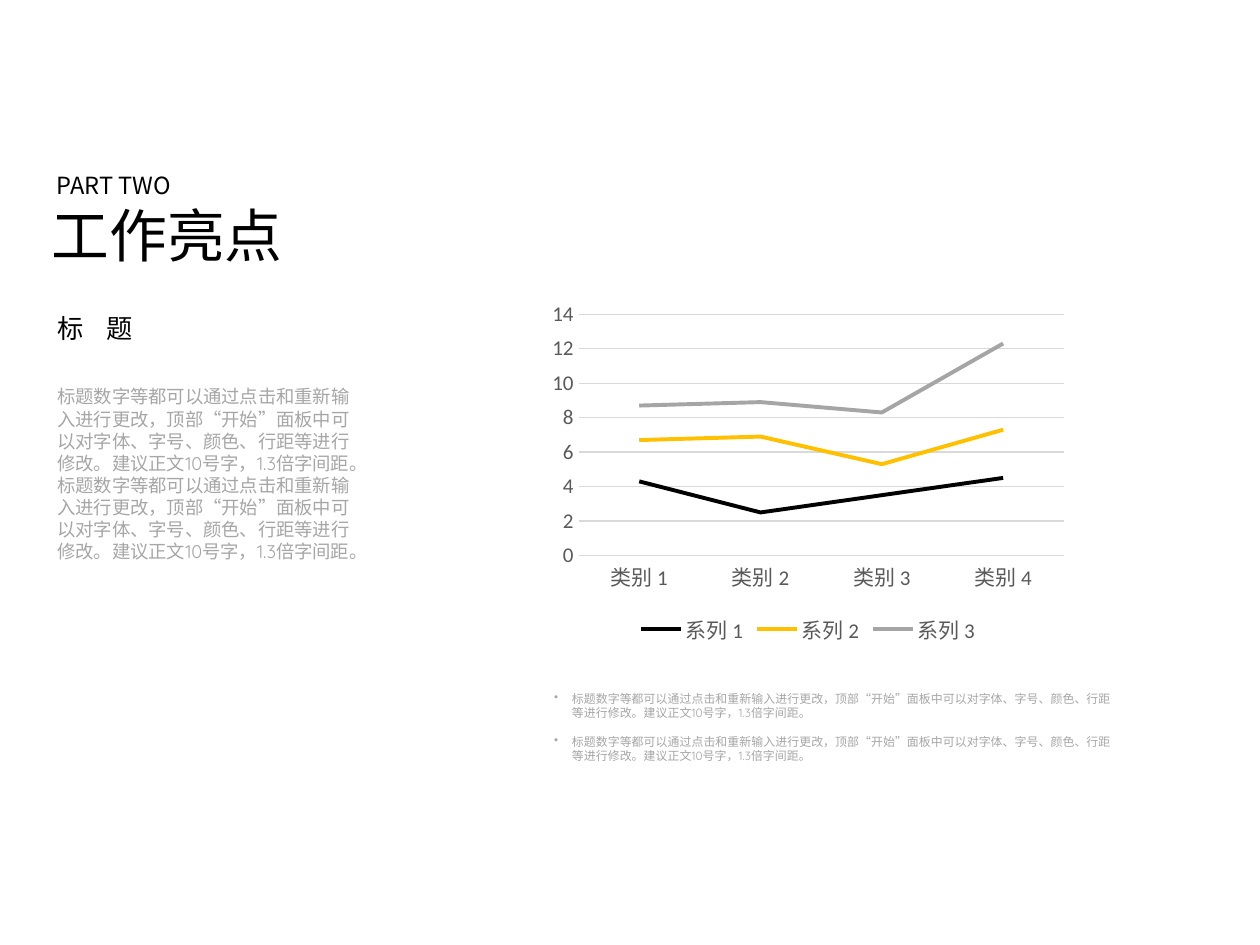
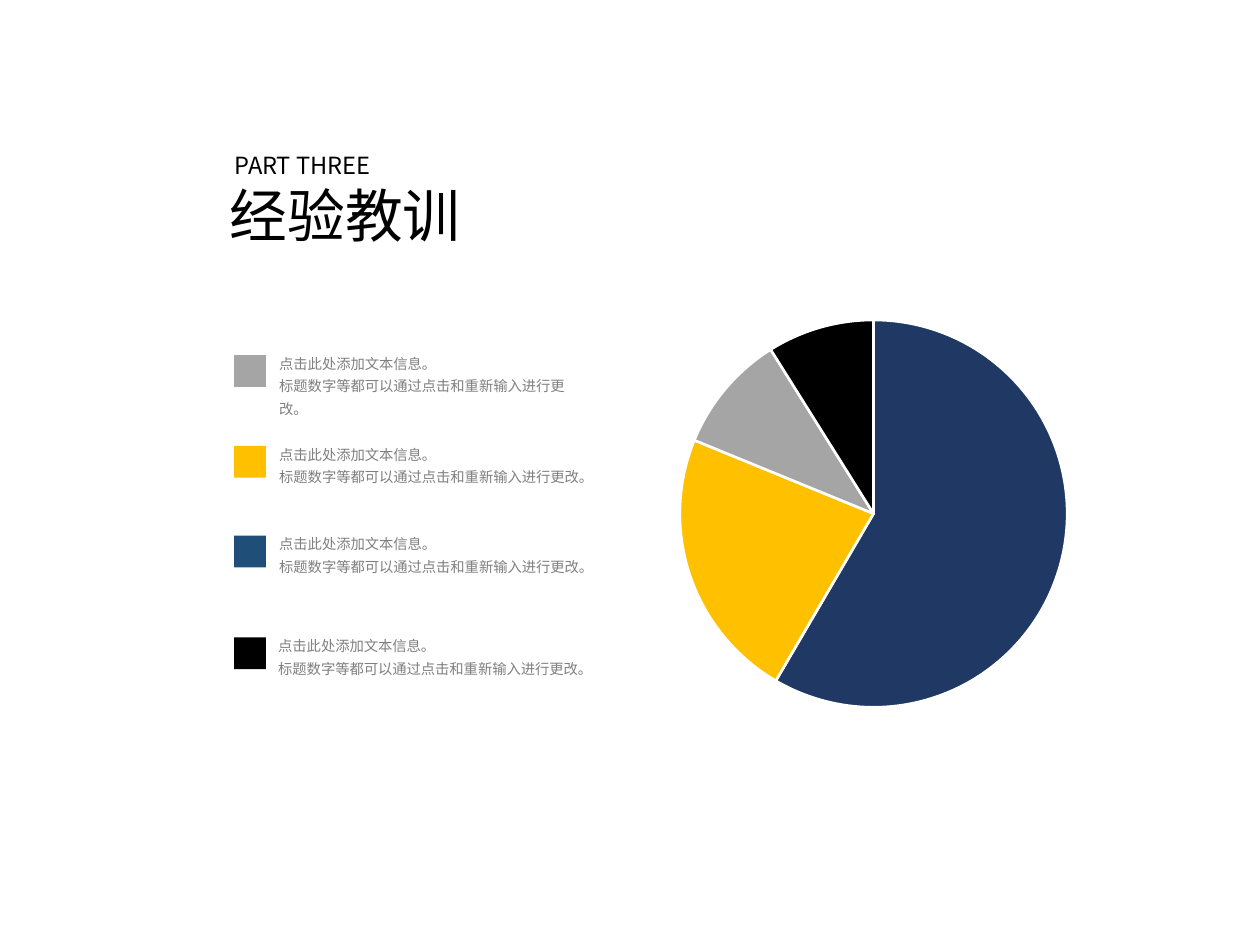
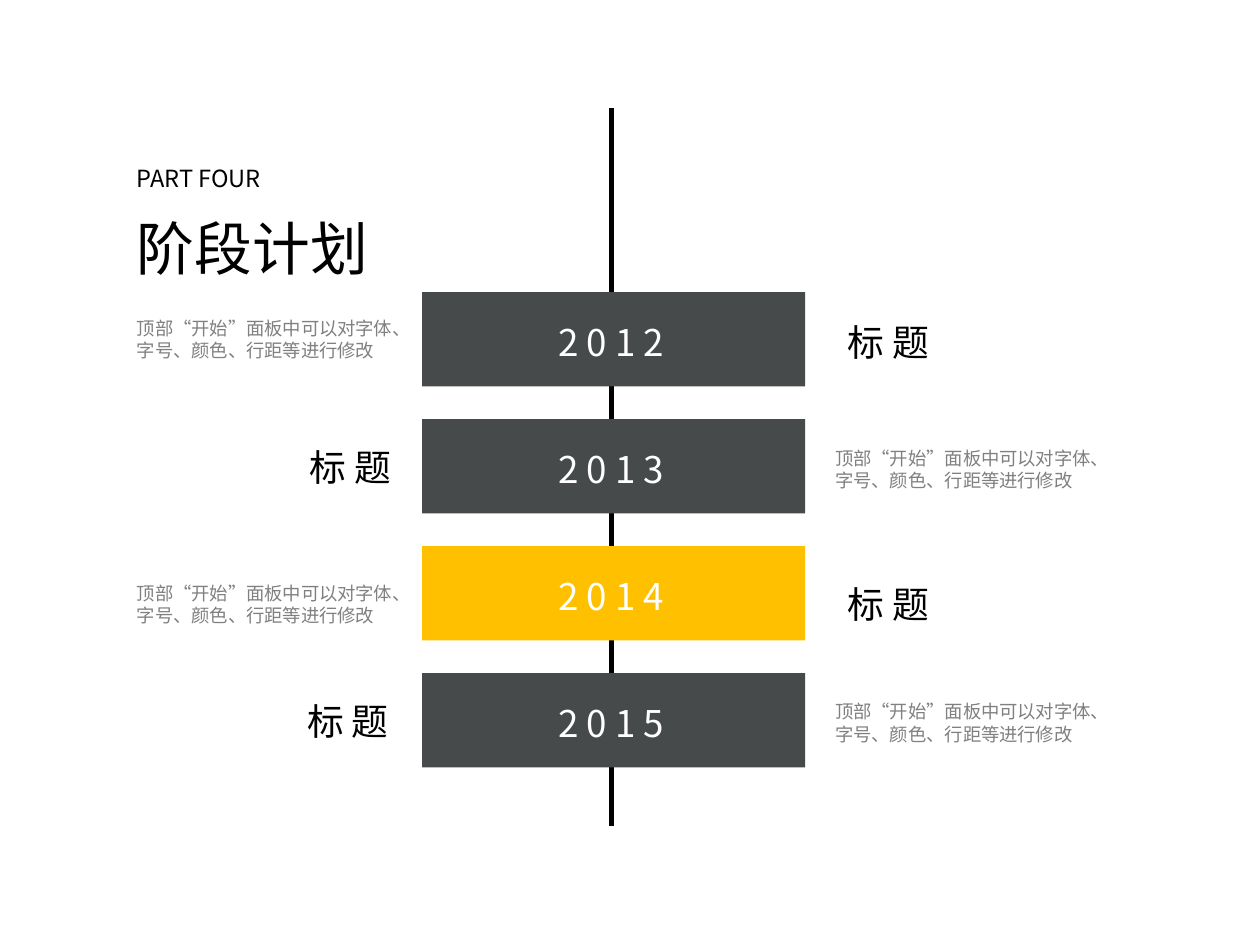
import lxml.etree
import pptx
import pptx.chart.data
import pptx.dml.color
import pptx.enum.chart
import pptx.enum.shapes
import pptx.enum.text
import pptx.oxml.ns
import pptx.util

Cm = pptx.util.Cm
Pt = pptx.util.Pt
qn = pptx.oxml.ns.qn
Kind = pptx.enum.chart.XL_CHART_TYPE

INK = {
    "black": "000000", "white": "FFFFFF", "gold": "FFC000",
    "silver": "A5A5A5", "pale": "A6A6A6", "gray": "808080",
    "slate": "464A4A", "navy": "203864", "blue": "1F4E79",
    "label": "595959", "grid": "D9D9D9",
}
SANS = "Noto Sans CJK SC"
LOOK = {
    "part": {"size": 13.5, "name": SANS, "color": "black"},
    "title": {"size": 33, "name": SANS, "color": "black"},
    "head": {"size": 15, "name": SANS, "color": "black"},
    "body": {"size": 10.5, "name": "Quicksand", "color": "pale"},
    "point": {"size": 6.8, "name": "Quicksand", "color": "pale"},
    "key": {"size": 8.2, "name": SANS, "color": "gray"},
    "year": {"size": 21, "name": SANS, "color": "white"},
    "topic": {"size": 21, "name": "Calibri", "color": "black"},
    "note": {"size": 10.5, "name": SANS, "color": "gray"},
    "chart": {"size": 10, "name": "Calibri", "color": "black"},
    "axis": {"size": 12, "name": "Calibri", "color": "label"},
}


class Deck:
    def __init__(self):
        self.show = pptx.Presentation()
        self.show.slide_width = Cm(25.4)
        self.show.slide_height = Cm(19.05)

    def page(self):
        self.slide = self.show.slides.add_slide(self.show.slide_layouts[6])
        fill = self.slide.background.fill
        fill.solid()
        fill.fore_color.rgb = self.ink("white")

    def ink(self, name):
        return pptx.dml.color.RGBColor.from_string(INK[name])

    def font(self, font, look):
        form = dict(LOOK[look])
        font.color.rgb = self.ink(form.pop("color"))
        form["size"] = Pt(form["size"])
        for name, value in form.items():
            setattr(font, name, value)

    def text(self, box, lines, look, **form):
        shape = self.slide.shapes.add_textbox(*map(Cm, box))
        frame = shape.text_frame
        frame.word_wrap = True
        frame.auto_size = pptx.enum.text.MSO_AUTO_SIZE.SHAPE_TO_FIT_TEXT
        for i, line in enumerate(lines):
            para = frame.paragraphs[0] if i == 0 else frame.add_paragraph()
            run = para.add_run()
            run.text = line
            self.font(run.font, look)
            east = lxml.etree.SubElement(run.font._element, qn("a:ea"))
            east.set("typeface", SANS)
            for name, value in form.items():
                setattr(para, name, value)
        return frame.paragraphs

    def title(self, box, part, name, indents=(0, 0), **form):
        paras = self.text(box, [part, name], "part", **form)
        self.font(paras[1].runs[0].font, "title")
        for para, indent in zip(paras, indents):
            para._p.get_or_add_pPr().set("marL", str(Cm(indent)))

    def points(self, box, lines):
        paras = self.text(box, lines, "point")
        for para in paras:
            props = para._p.get_or_add_pPr()
            props.set("marL", str(Cm(0.36)))
            props.set("indent", str(Cm(-0.36)))
            lxml.etree.SubElement(props, qn("a:buChar")).set("char", "•")
        for para in paras[1:]:
            para.space_before = Pt(8)

    def rect(self, box, color):
        kind = pptx.enum.shapes.MSO_SHAPE.RECTANGLE
        shape = self.slide.shapes.add_shape(kind, *map(Cm, box))
        shape.shadow.inherit = False
        shape.fill.solid()
        shape.fill.fore_color.rgb = self.ink(color)
        shape.line.fill.background()

    def stroke(self, line, color, width):
        line.color.rgb = self.ink(color)
        line.width = Pt(width)

    def rule(self, ends, color, width):
        kind = pptx.enum.shapes.MSO_CONNECTOR.STRAIGHT
        line = self.slide.shapes.add_connector(kind, *map(Cm, ends))
        self.stroke(line.line, color, width)
        lxml.etree.SubElement(line._element.spPr, qn("a:effectLst"))

    def chart(self, kind, box, cats, rows):
        data = pptx.chart.data.CategoryChartData()
        data.categories = cats
        for name, values in rows:
            data.add_series(name, values)
        chart = self.slide.shapes.add_chart(kind, *map(Cm, box), data).chart
        chart.has_title = False
        chart.has_legend = False
        self.font(chart.font, "chart")
        return chart

    def lines(self, box, cats, rows, colors):
        chart = self.chart(Kind.LINE_STACKED, box, cats, rows)
        chart.plots[0].vary_by_categories = False
        for row, color in zip(chart.plots[0].series, colors):
            row.smooth = False
            self.stroke(row.format.line, color, 2.25)
        for axis in (chart.category_axis, chart.value_axis):
            axis.major_tick_mark = pptx.enum.chart.XL_TICK_MARK.NONE
            axis.minor_tick_mark = pptx.enum.chart.XL_TICK_MARK.NONE
            self.font(axis.tick_labels.font, "axis")
        self.stroke(chart.category_axis.format.line, "grid", 0.75)
        self.stroke(chart.value_axis.major_gridlines.format.line, "grid", 0.75)
        chart.value_axis.format.line.fill.background()
        chart.has_legend = True
        chart.legend.position = pptx.enum.chart.XL_LEGEND_POSITION.BOTTOM
        chart.legend.include_in_layout = False
        self.font(chart.legend.font, "axis")

    def pie(self, box, cats, rows, colors):
        chart = self.chart(Kind.PIE, box, cats, rows)
        chart.plots[0].vary_by_categories = True
        for i, color in enumerate(colors):
            form = chart.plots[0].series[0].points[i].format
            form.fill.solid()
            form.fill.fore_color.rgb = self.ink(color)
            self.stroke(form.line, "white", 1.5)


deck = Deck()

HINT = ("标题数字等都可以通过点击和重新输入进行更改，顶部“开始”面板中可以对字体、"
        "字号、颜色、行距等进行修改。建议正文10号字，1.3倍字间距。")
deck.page()
deck.title((0.58, 3.33, 5.51, 2.24), "PART TWO", "工作亮点", (0.32, 0.21))
deck.lines(
    (10.92, 5.94, 10.74, 7.16),
    [f"类别 {i}" for i in range(1, 5)],
    [("系列 1", (4.3, 2.5, 3.5, 4.5)),
     ("系列 2", (2.4, 4.4, 1.8, 2.8)),
     ("系列 3", (2, 2, 3, 5))],
    ("black", "gold", "silver"),
)
deck.points((10.92, 13.82, 11.86, 1.7), [HINT] * 2)
head = deck.text((0.91, 6.17, 2.3, 0.89), ["标 题"], "head")
head[0].runs[0].font._element.set("spc", "500")
deck.text((0.91, 7.65, 6.68, 3.84), [HINT * 2], "body")

deck.page()
deck.title((4.27, 2.92, 5.36, 2.24), "PART THREE", "经验教训", (0.21, 0.11))
deck.pie(
    (12.62, 6.1, 9.98, 8.51), ["1", "2", "3", "4"],
    [("Series 1", (59, 23, 10, 9))],
    ("navy", "gold", "silver", "black"),
)
KEYS = [
    ("silver", 7.16, 5.38, 6.53, 1.6),
    ("gold", 8.99, 5.38, 6.86, 1.14),
    ("blue", 10.8, 5.38, 6.86, 1.14),
    ("black", 12.85, 5.36, 6.86, 1.14),
]
for color, top, left, wide, high in KEYS:
    deck.rect((4.72, top, 0.64, 0.64), color)
    deck.text((left, top - 0.23, wide, high),
              ["点击此处添加文本信息。", "标题数字等都可以通过点击和重新输入进行更改。"],
              "key", line_spacing=1.3)

deck.page()
deck.rule((12.32, 2.18, 12.32, 16.66), "black", 3)
deck.title((2.51, 3, 5.21, 2.67), "PART FOUR", "阶段计划", line_spacing=1.3)
STEPS = [
    ("2 0 1 2", "slate", 2.51, 6.27, 16.84, 6.32),
    ("2 0 1 3", "slate", 16.59, 8.89, 5.99, 8.84),
    ("2 0 1 4", "gold", 2.51, 11.61, 16.84, 11.61),
    ("2 0 1 5", "slate", 16.59, 14, 5.94, 13.97),
]
for i, (year, color, left, top, side, peak) in enumerate(STEPS):
    drop = 2.56 * i
    deck.rect((8.51, 5.89 + drop, 7.72, 1.9), color)
    deck.text((11, 6.32 + drop, 2.95, 1.14), [year], "year")
    deck.text((left, top, 5.99, 1.14),
              ["顶部“开始”面板中可以对字体、字号、颜色、行距等进行修改"], "note")
    deck.text((side, peak, 2.21, 1.14), ["标 题"], "topic")

deck.show.save("out.pptx")
